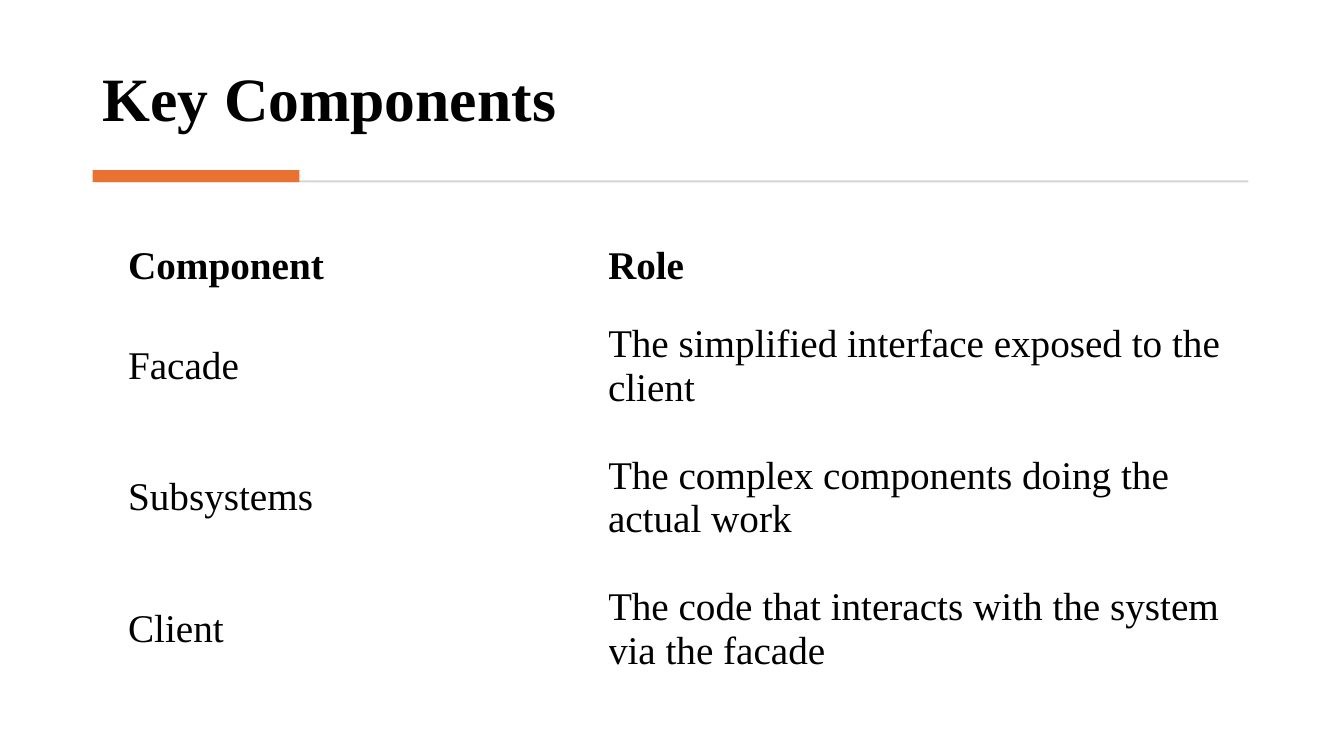
from pptx import Presentation
from pptx.dml.color import RGBColor
from pptx.enum.shapes import MSO_SHAPE
from pptx.enum.text import MSO_ANCHOR
from pptx.util import Inches, Pt

WIDTH, HEIGHT = Inches(13.33), Inches(7.5)
BLACK = RGBColor(0x00, 0x00, 0x00)
GREY = RGBColor(0xD5, 0xD5, 0xD5)
ORANGE = RGBColor(0xE9, 0x71, 0x32)
FONT = "Times New Roman"
COLS = [35.71, 47.19]
ROWS = [9.07, 17.4, 17.4, 17.4]
PARTS = [
    ("Component", "Role"),
    ("Facade", "The simplified interface exposed to the client"),
    ("Subsystems", "The complex components doing the actual work"),
    ("Client", "The code that interacts with the system via the facade"),
]


def across(share):
    """Turn a percentage of the slide's width into a length."""
    return round(WIDTH * share / 100)


def down(share):
    """Turn a percentage of the slide's height into a length."""
    return round(HEIGHT * share / 100)


def place(left, top, width, height):
    """Turn percentages into a left, top, width and height."""
    return across(left), down(top), across(width), down(height)


def write(frame, text, size, bold):
    """Add one styled run to the first paragraph and return the paragraph."""
    para = frame.paragraphs[0]
    run = para.add_run()
    run.text = text
    font = run.font
    font.name, font.size, font.bold = FONT, Pt(size), bold
    font.color.rgb = BLACK
    return para


def add_title(slide, text, box):
    """Add the heading, resting on the bottom of its box."""
    frame = slide.shapes.add_textbox(*box).text_frame
    frame.word_wrap = True
    frame.vertical_anchor = MSO_ANCHOR.BOTTOM
    write(frame, text, 44, True).line_spacing = 0.9


def add_bar(slide, color, box):
    """Add a plain filled bar."""
    bar = slide.shapes.add_shape(MSO_SHAPE.RECTANGLE, *box)
    bar.shadow.inherit = False
    bar.fill.solid()
    bar.fill.fore_color.rgb = color
    bar.line.fill.background()


def fill_cell(cell, text, bold):
    """Write into a clear cell that has no margins."""
    cell.fill.background()
    cell.vertical_anchor = MSO_ANCHOR.MIDDLE
    cell.margin_left = cell.margin_right = 0
    cell.margin_top = cell.margin_bottom = 0
    write(cell.text_frame, text, 28, bold)


def add_grid(slide, left, top):
    """Add the table of components and their roles."""
    box = place(left, top, sum(COLS), sum(ROWS))
    table = slide.shapes.add_table(len(ROWS), len(COLS), *box).table
    table.horz_banding = False
    for col, share in zip(table.columns, COLS):
        col.width = across(share)
    for row, share in zip(table.rows, ROWS):
        row.height = down(share)
    for i, part in enumerate(PARTS):
        for j, text in enumerate(part):
            fill_cell(table.cell(i, j), text, i == 0)


def main():
    """Build the slide and save it."""
    deck = Presentation()
    deck.slide_width, deck.slide_height = WIDTH, HEIGHT
    slide = deck.slides.add_slide(deck.slide_layouts[6])
    add_title(slide, "Key Components", place(6.9, 3.73, 86.2, 14.8))
    add_bar(slide, GREY, place(7.13, 23.87, 85.75, 0.27))
    add_bar(slide, ORANGE, place(6.9, 22.5, 15.38, 1.6))
    add_grid(slide, 9.53, 30.67)
    deck.save("out.pptx")


if __name__ == "__main__":
    main()
